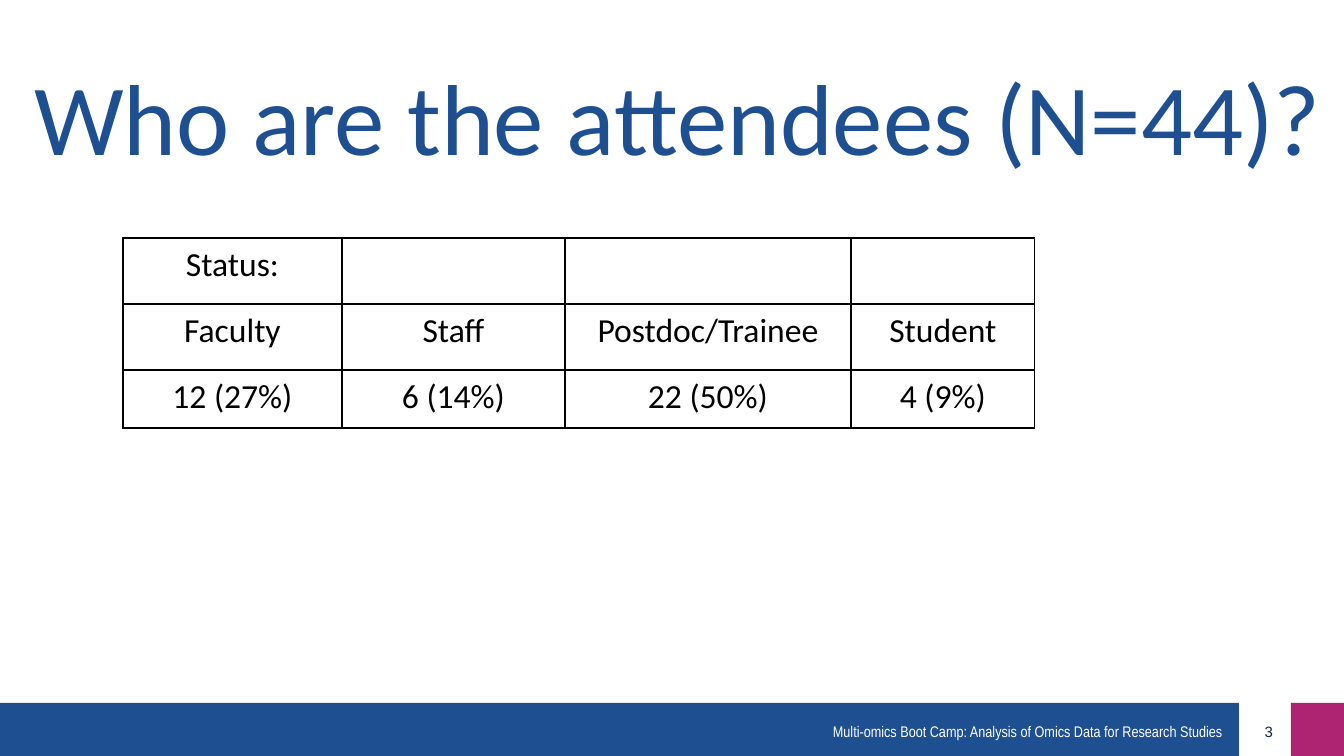
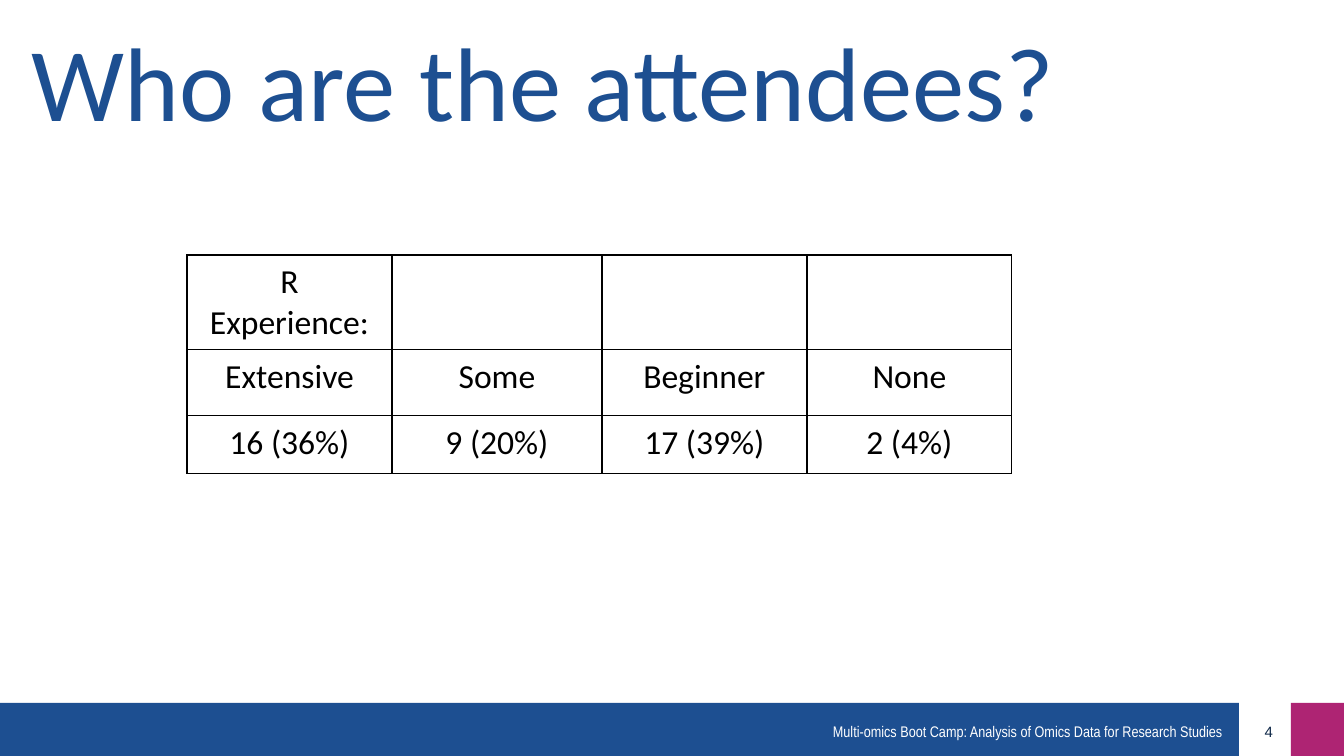
from lxml.etree import SubElement
from pptx import Presentation
from pptx.dml.color import RGBColor
from pptx.enum.shapes import MSO_SHAPE
from pptx.enum.text import MSO_ANCHOR, PP_ALIGN
from pptx.oxml.ns import qn
from pptx.util import Pt

PX = 914400 / 100.8
WIDE, HIGH = 1344, 756
BAND = 53

BLUE = RGBColor(0x1D, 0x4F, 0x91)
PINK = RGBColor(0xAE, 0x24, 0x73)
NAVY = RGBColor(0x0F, 0x28, 0x48)
WHITE = RGBColor(0xFF, 0xFF, 0xFF)
BLACK = RGBColor(0, 0, 0)

FOOTER = "Multi-omics Boot Camp: Analysis of Omics Data for Research Studies"
ROWS = (66, 66, 58)
PAD = (13, 7, 13, 7)


def px(count):
    return round(count * PX)


def write(frame, text, size, color, font="Calibri", align=PP_ALIGN.LEFT,
          spacing=None):
    para = frame.paragraphs[0]
    para.alignment = align
    para.line_spacing = spacing
    run = para.add_run()
    run.text = text
    run.font.size = Pt(size)
    run.font.name = font
    run.font.bold = False
    run.font.color.rgb = color


def inset(part, left, top, right, bottom):
    """Set the margins of a text frame or table cell."""
    part.margin_left, part.margin_top = px(left), px(top)
    part.margin_right, part.margin_bottom = px(right), px(bottom)


def add_rect(slide, box, color):
    rect = slide.shapes.add_shape(MSO_SHAPE.RECTANGLE, *map(px, box))
    rect.shadow.inherit = False
    rect.fill.solid()
    rect.fill.fore_color.rgb = color
    rect.line.fill.background()


def add_label(slide, box, text, pad, wrap, **style):
    frame = slide.shapes.add_textbox(*map(px, box)).text_frame
    frame.word_wrap = wrap
    inset(frame, *pad)
    write(frame, text, **style)


def add_footer(slide, number, top=HIGH - BAND):
    add_rect(slide, (0, top, 1239, BAND), BLUE)
    add_rect(slide, (WIDE - BAND, top, BAND, BAND), PINK)
    add_label(slide, (1238, top + 13, 48, 31), str(number), PAD, True,
              size=10.7, color=NAVY, font="Arial", align=PP_ALIGN.RIGHT)
    add_label(slide, (823, top + 14, 412, 29), FOOTER, (10, 5, 10, 5), False,
              size=11, color=WHITE, font="Arial Narrow")


def add_title(slide, left, top, text, size):
    title = slide.shapes.title
    title.left, title.top = px(left), px(top)
    title.width, title.height = px(1305), px(168)
    frame = title.text_frame
    frame.word_wrap = False
    frame.vertical_anchor = MSO_ANCHOR.MIDDLE
    inset(frame, 0, 0, 0, 0)
    write(frame, text, size, BLUE, spacing=0.75)


def add_border(cell):
    props = cell._tc.get_or_add_tcPr()
    for place, side in enumerate(("a:lnL", "a:lnR", "a:lnT", "a:lnB")):
        line = SubElement(props, qn(side), w=str(Pt(1)))
        fill = SubElement(line, qn("a:solidFill"))
        SubElement(fill, qn("a:srgbClr"), val=str(BLACK))
        props.insert(place, line)


def add_grid(slide, left, top, widths, rows):
    box = (left, top, sum(widths), sum(ROWS))
    table = slide.shapes.add_table(len(rows), len(widths), *map(px, box)).table
    table.first_row = table.horz_banding = False
    for column, width in zip(table.columns, widths):
        column.width = px(width)
    for row, height, texts in zip(table.rows, ROWS, rows):
        row.height = px(height)
        for cell, text in zip(row.cells, texts):
            cell.fill.background()
            inset(cell, *PAD)
            add_border(cell)
            if text:
                write(cell.text_frame, text, 24, BLACK, align=PP_ALIGN.CENTER)


def add_page(deck, number, title, grid):
    slide = deck.slides.add_slide(deck.slide_layouts[5])
    add_footer(slide, number)
    add_title(slide, *title)
    add_grid(slide, *grid)


def main():
    deck = Presentation()
    deck.slide_width, deck.slide_height = px(WIDE), px(HIGH)
    add_page(deck, 3, (34, 44, "Who are the attendees (N=44)?", 72),
             (123, 238, (219, 223, 286, 184), (
                 ("Status:", "", "", ""),
                 ("Faculty", "Staff", "Postdoc/Trainee", "Student"),
                 ("12 (27%)", "6 (14%)", "22 (50%)", "4 (9%)"))))
    add_page(deck, 4, (32, 9, "Who are the attendees?", 74.7),
             (187, 255, (205, 210, 205, 205), (
                 ("R Experience:", "", "", ""),
                 ("Extensive", "Some", "Beginner", "None"),
                 ("16 (36%)", "9 (20%)", "17 (39%)", "2 (4%)"))))
    deck.save("out.pptx")


if __name__ == "__main__":
    main()
